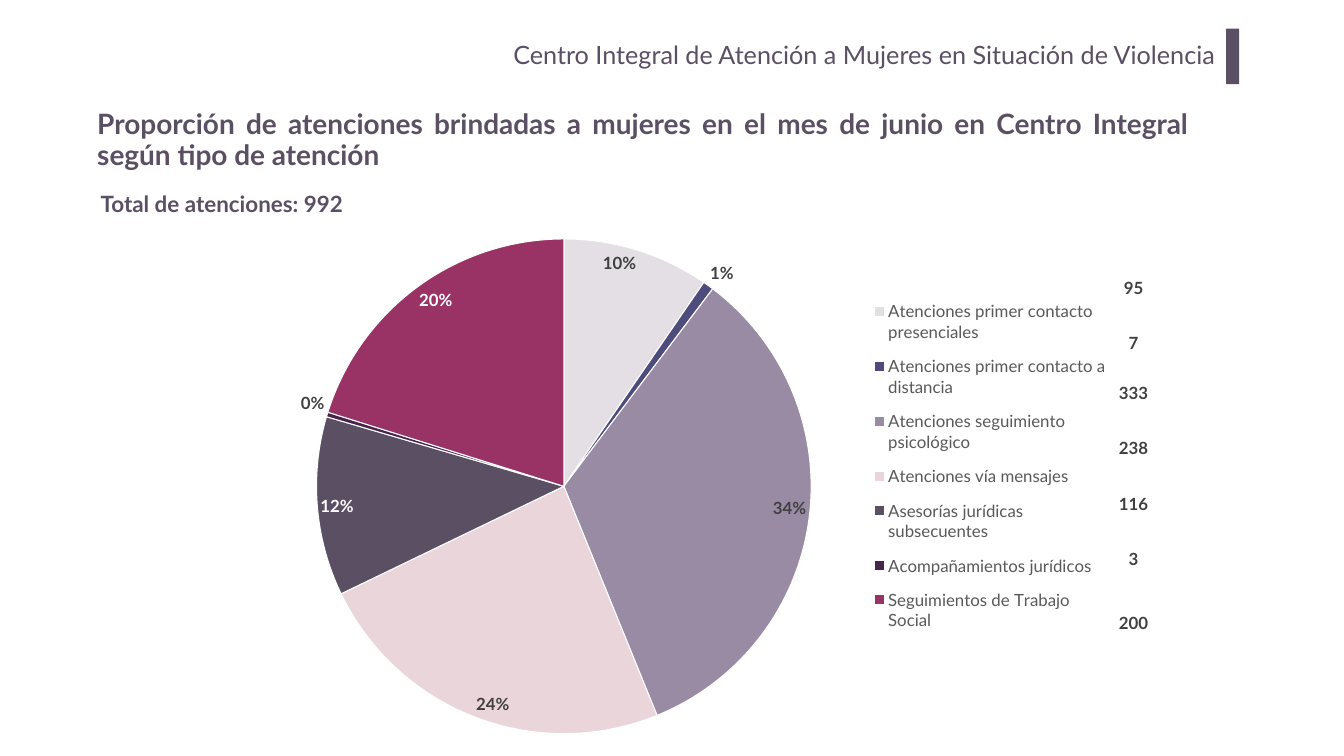
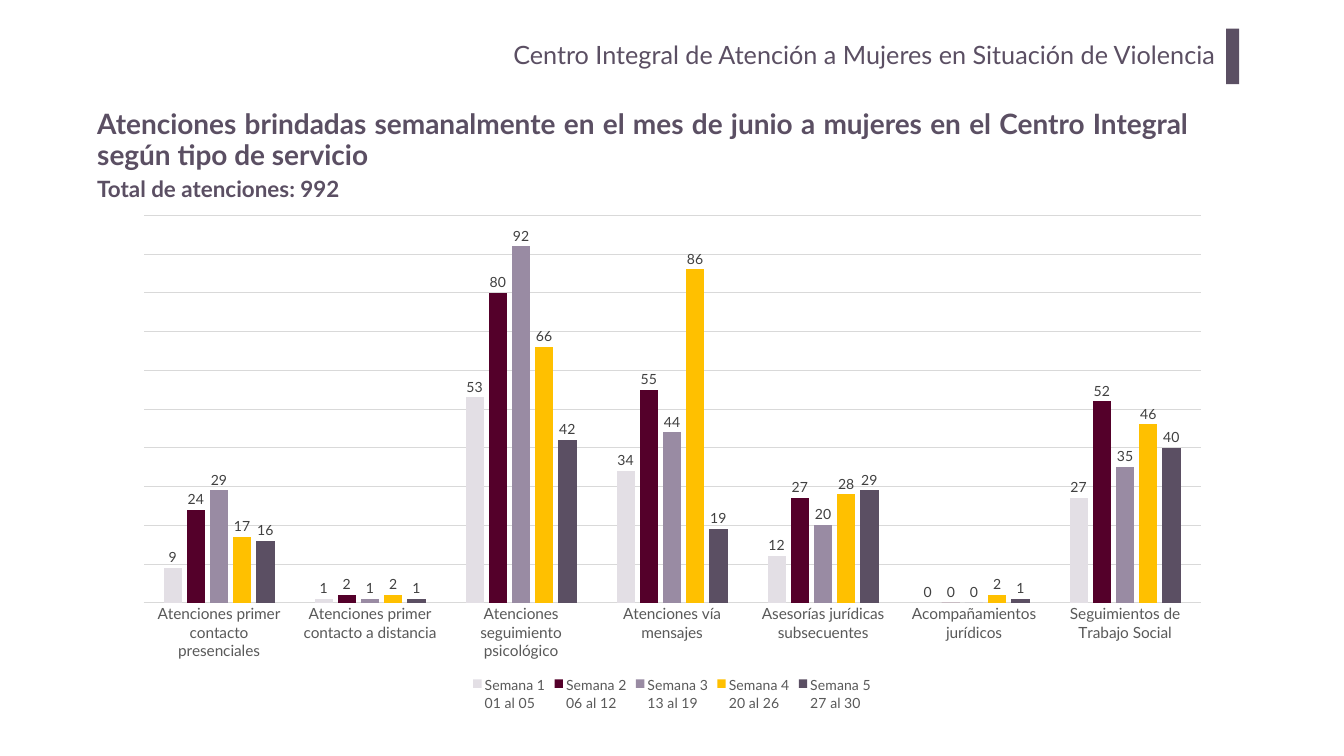
import dataclasses
from typing import NamedTuple

import lxml.etree
import pptx
import pptx.chart.chart
import pptx.chart.data
import pptx.dml.color
import pptx.enum.chart
import pptx.enum.shapes
import pptx.enum.text
import pptx.oxml.ns
import pptx.slide
import pptx.text.text
import pptx.util

SLIDE_WIDTH = pptx.util.Inches(26.67)
SLIDE_HEIGHT = pptx.util.Inches(15)
ALIGN = pptx.enum.text.PP_ALIGN
LABEL = pptx.enum.chart.XL_LABEL_POSITION
LEGEND = pptx.enum.chart.XL_LEGEND_POSITION
CHART = pptx.enum.chart.XL_CHART_TYPE


@dataclasses.dataclass(frozen=True)
class Theme:
    family: str = "Lato"
    chart_family: str = "Arial"
    plum: str = "5B4F63"
    mauve: str = "998BA3"
    mist: str = "E3DFE5"
    indigo: str = "4D4C7D"
    blush: str = "E9D5DA"
    aubergine: str = "46244C"
    berry: str = "993366"
    wine: str = "54002A"
    amber: str = "FFC000"
    white: str = "FFFFFF"
    dark: str = "404040"
    gray: str = "595959"
    grid: str = "D9D9D9"
    headline: int = 40
    header: int = 36
    total: int = 32
    label: int = 24
    axis: int = 22
    small: int = 20
    chart_base: int = 10


THEME = Theme()


class Box(NamedTuple):
    """Percent shares of the area that holds the box."""
    left: float
    top: float
    width: float
    height: float

    def on_slide(self) -> tuple[int, int, int, int]:
        return (round(SLIDE_WIDTH * self.left / 100), round(SLIDE_HEIGHT * self.top / 100),
                round(SLIDE_WIDTH * self.width / 100), round(SLIDE_HEIGHT * self.height / 100))


class Service(NamedTuple):
    name: str
    weekly: tuple[int, ...]
    slice_color: str
    count_top: float
    label_color: str = THEME.dark
    label_position: LABEL = LABEL.INSIDE_END

    @property
    def total(self) -> int:
        return sum(self.weekly)


class Week(NamedTuple):
    name: str
    color: str


HEADER = "Centro Integral de Atención a Mujeres en Situación de Violencia"
HEADER_BOX = Box(15.04, 4.47, 76.12, 6.8)
BAR_BOX = Box(91.23, 3.8, 0.97, 7.33)
HEADLINE_BOX = Box(6.86, 13.8, 81.93, 9.67)

SERVICES = (
    Service("Atenciones primer contacto presenciales", (9, 24, 29, 17, 16), THEME.mist, 36.47),
    Service("Atenciones primer contacto a distancia", (1, 2, 1, 2, 1), THEME.indigo, 43.73,
            label_position=LABEL.OUTSIDE_END),
    Service("Atenciones seguimiento psicológico", (53, 80, 92, 66, 42), THEME.mauve, 50.33),
    Service("Atenciones vía mensajes", (34, 55, 44, 86, 19), THEME.blush, 57.6),
    Service("Asesorías jurídicas subsecuentes", (12, 27, 20, 28, 29), THEME.plum, 64.93, THEME.white),
    Service("Acompañamientos jurídicos", (0, 0, 0, 2, 1), THEME.aubergine, 72.27,
            label_position=LABEL.OUTSIDE_END),
    Service("Seguimientos de Trabajo Social", (27, 52, 35, 46, 40), THEME.berry, 80.67, THEME.white),
)
WEEKS = (
    Week("Semana 1\n01 al 05", THEME.mist),
    Week("Semana 2\n06 al 12", THEME.wine),
    Week("Semana 3\n13 al 19", THEME.mauve),
    Week("Semana 4\n20 al 26", THEME.amber),
    Week("Semana 5\n27 al 30", THEME.plum),
)


def rgb(color: str) -> pptx.dml.color.RGBColor:
    return pptx.dml.color.RGBColor.from_string(color)


def set_font(font: pptx.text.text.Font, size: int, color: str, bold: bool = False,
             family: str = THEME.family) -> None:
    font.name = family
    font.size = pptx.util.Pt(size)
    font.bold = bold
    font.color.rgb = rgb(color)


def write(frame: pptx.text.text.TextFrame, words: str, size: int, color: str = THEME.plum,
          bold: bool = True, align: ALIGN = ALIGN.LEFT) -> pptx.text.text._Paragraph:
    frame.word_wrap = True
    frame.auto_size = pptx.enum.text.MSO_AUTO_SIZE.NONE
    paragraph = frame.paragraphs[0]
    paragraph.alignment = align
    run = paragraph.add_run()
    run.text = words
    set_font(run.font, size, color, bold)
    return paragraph


def add_frame(slide: pptx.slide.Slide, headline: str, total_box: Box) -> None:
    header = slide.shapes.add_textbox(*HEADER_BOX.on_slide()).text_frame
    header.margin_left = header.margin_right = pptx.util.Inches(0.2)
    header.margin_top = header.margin_bottom = pptx.util.Inches(0.1)
    write(header, HEADER, THEME.header, bold=False, align=ALIGN.RIGHT)

    bar = slide.shapes.add_shape(pptx.enum.shapes.MSO_SHAPE.RECTANGLE, *BAR_BOX.on_slide())
    bar.shadow.inherit = False
    bar.fill.solid()
    bar.fill.fore_color.rgb = rgb(THEME.plum)
    bar.line.fill.background()

    title = slide.shapes.title
    title.left, title.top, title.width, title.height = HEADLINE_BOX.on_slide()
    title.text_frame.vertical_anchor = pptx.enum.text.MSO_ANCHOR.MIDDLE
    write(title.text_frame, headline, THEME.headline, align=ALIGN.JUSTIFY).line_spacing = 0.9

    total = slide.shapes.add_textbox(*total_box.on_slide()).text_frame
    grand_total = sum(service.total for service in SERVICES)
    write(total, f"Total de atenciones: {grand_total}", THEME.total)


def make_layout(area: Box, inner: bool) -> lxml.etree._Element:
    layout = pptx.oxml.parse_xml(f"<c:layout {pptx.oxml.ns.nsdecls('c')}><c:manualLayout/></c:layout>")
    settings = [("layoutTarget", "inner")] if inner else []
    settings += [("xMode", "edge"), ("yMode", "edge")]
    settings += [(key, f"{share / 100:.4f}") for key, share in zip("xywh", area)]
    for tag, value in settings:
        lxml.etree.SubElement(layout[0], pptx.oxml.ns.qn(f"c:{tag}")).set("val", value)
    return layout


def place_plot(chart: pptx.chart.chart.Chart, area: Box) -> None:
    plot_area = next(chart.element.iter(pptx.oxml.ns.qn("c:plotArea")))
    for old in plot_area.findall(pptx.oxml.ns.qn("c:layout")):
        plot_area.remove(old)
    plot_area.insert(0, make_layout(area, inner=True))


def place_legend(chart: pptx.chart.chart.Chart, area: Box) -> None:
    legend = next(chart.element.iter(pptx.oxml.ns.qn("c:legend")))
    for old in legend.findall(pptx.oxml.ns.qn("c:layout")):
        legend.remove(old)
    legend.find(pptx.oxml.ns.qn("c:legendPos")).addnext(make_layout(area, inner=False))


def add_chart(slide: pptx.slide.Slide, kind: CHART, box: Box, series: dict[str, list[int]],
              plot_area: Box, legend_side: LEGEND, legend_size: int) -> pptx.chart.chart.Chart:
    figures = pptx.chart.data.CategoryChartData()
    figures.categories = [service.name for service in SERVICES]
    for name, values in series.items():
        figures.add_series(name, values)
    chart = slide.shapes.add_chart(kind, *box.on_slide(), figures).chart
    chart.has_title = False
    set_font(chart.font, THEME.chart_base, "000000", family=THEME.chart_family)
    chart.has_legend = True
    chart.legend.position = legend_side
    chart.legend.include_in_layout = False
    set_font(chart.legend.font, legend_size, THEME.gray)
    place_plot(chart, plot_area)
    return chart


def add_share_pie(slide: pptx.slide.Slide) -> None:
    chart = add_chart(slide, CHART.PIE, Box(12.75, 30.53, 74.5, 67.6),
                      {"Atenciones": [service.total for service in SERVICES]},
                      Box(14.5, 1.6, 49.4, 96.8), LEGEND.RIGHT, THEME.label)
    place_legend(chart, Box(70, 11, 23.5, 70))
    chart.plots[0].vary_by_categories = True
    shares = chart.plots[0].series[0]
    labels = shares.data_labels
    labels.show_value = False
    labels.show_percentage = True
    labels.number_format = "0%"
    labels.number_format_is_linked = False
    set_font(labels.font, THEME.label, THEME.dark, bold=True)
    for index, service in enumerate(SERVICES):
        point = shares.points[index]
        point.format.fill.solid()
        point.format.fill.fore_color.rgb = rgb(service.slice_color)
        point.format.line.color.rgb = rgb(THEME.white)
        point.format.line.width = pptx.util.Pt(1.5)
        set_font(point.data_label.font, THEME.label, service.label_color, bold=True)
        point.data_label.position = service.label_position
    for label in chart.element.iter(pptx.oxml.ns.qn("c:dLbl")):
        label.find(pptx.oxml.ns.qn("c:showVal")).set("val", "0")
        label.find(pptx.oxml.ns.qn("c:showPercent")).set("val", "1")


def add_counts(slide: pptx.slide.Slide) -> None:
    for service in SERVICES:
        box = Box(82.79, service.count_top, 3.11, 2)
        count = slide.shapes.add_textbox(*box.on_slide()).text_frame
        write(count, str(service.total), THEME.label, THEME.dark, align=ALIGN.CENTER)


def add_weekly_columns(slide: pptx.slide.Slide) -> None:
    weekly = {week.name: [service.weekly[index] for service in SERVICES]
              for index, week in enumerate(WEEKS)}
    chart = add_chart(slide, CHART.COLUMN_CLUSTERED, Box(9.04, 27.13, 81.93, 67.33), weekly,
                      Box(2, 2, 96, 76.1), LEGEND.BOTTOM, THEME.small)
    plot = chart.plots[0]
    plot.vary_by_categories = False
    plot.gap_width = 219
    plot.overlap = -27
    for week, columns in zip(WEEKS, plot.series):
        columns.format.fill.solid()
        columns.format.fill.fore_color.rgb = rgb(week.color)
        columns.data_labels.show_value = True
        columns.data_labels.position = LABEL.OUTSIDE_END
        set_font(columns.data_labels.font, THEME.small, THEME.dark)

    services = chart.category_axis
    services.major_tick_mark = pptx.enum.chart.XL_TICK_MARK.NONE
    set_font(services.tick_labels.font, THEME.axis, THEME.gray)
    counts = chart.value_axis
    counts.minimum_scale, counts.maximum_scale, counts.major_unit = 0, 100, 10
    counts.has_major_gridlines = True
    counts.visible = False
    for line in (services.format.line, counts.major_gridlines.format.line):
        line.color.rgb = rgb(THEME.grid)
        line.width = pptx.util.Pt(0.75)


def main() -> None:
    deck = pptx.Presentation()
    deck.slide_width, deck.slide_height = SLIDE_WIDTH, SLIDE_HEIGHT
    title_only = deck.slide_layouts.get_by_name("Title Only")

    by_type = deck.slides.add_slide(title_only)
    add_frame(by_type, "Proporción de atenciones brindadas a mujeres en el mes de junio "
              "en Centro Integral según tipo de atención", Box(7.12, 24.87, 21.15, 4.27))
    add_share_pie(by_type)
    add_counts(by_type)

    by_week = deck.slides.add_slide(title_only)
    add_frame(by_week, "Atenciones brindadas semanalmente en el mes de junio a mujeres "
              "en el Centro Integral según tipo de servicio", Box(6.86, 22.87, 21.15, 4.27))
    add_weekly_columns(by_week)

    deck.save("out.pptx")


if __name__ == "__main__":
    main()
